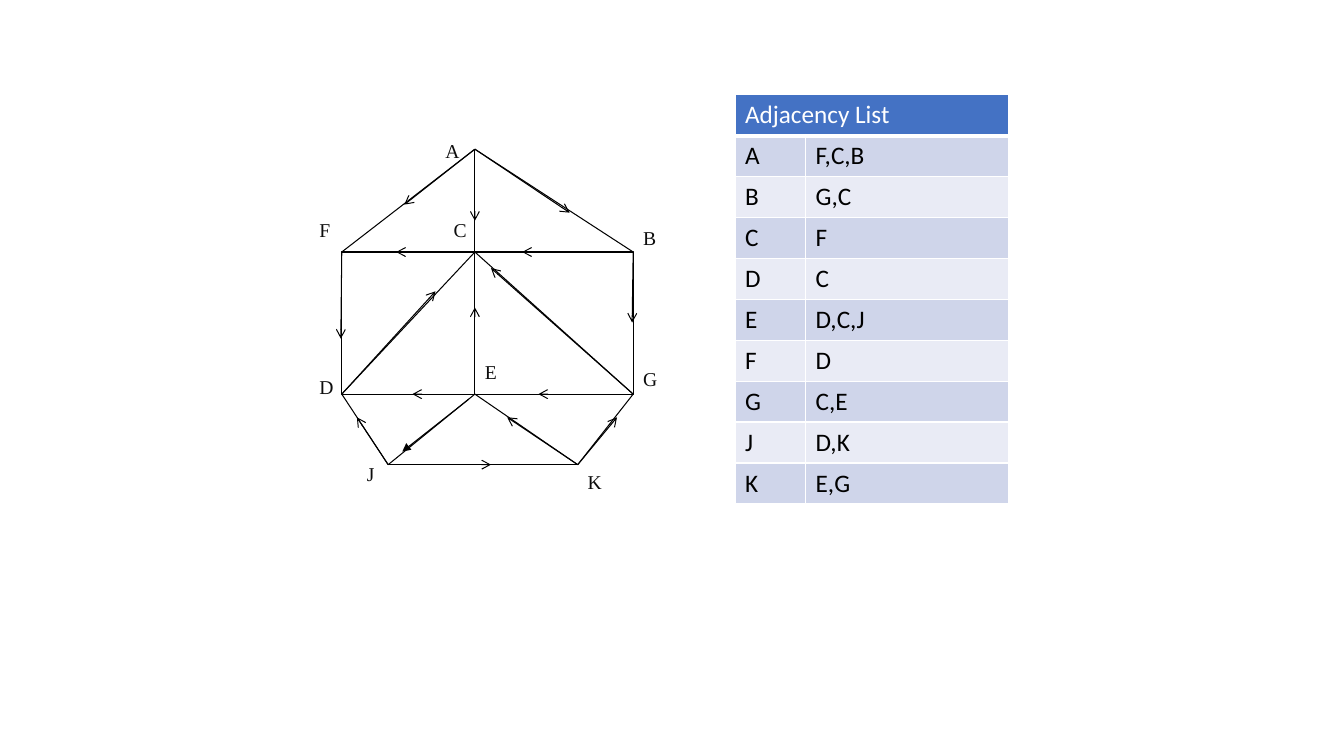
import pptx
import pptx.dml.color
import pptx.enum.shapes
import pptx.enum.text
import pptx.oxml
import pptx.oxml.ns
import pptx.util
from lxml import etree

Inches = pptx.util.Inches
COLORS = {
    "line": "000000", "label": "0D0D0D", "text": "000000",
    "header": "4472C4", "header_text": "FFFFFF", "border": "FFFFFF",
    "odd_row": "CFD5EA", "even_row": "E9EBF5",
}
NODES = {
    "A": (4.71, 1.48), "F": (3.39, 2.5), "C": (4.71, 2.5), "B": (6.28, 2.5),
    "D": (3.39, 3.91), "E": (4.71, 3.91), "G": (6.28, 3.91),
    "J": (3.85, 4.61), "K": (5.73, 4.61),
}
EDGES = ["FA", "AB", "DJ", "GK", "JK", "AE", "JE", "EK", "DC", "CG"]
ARROWS = [
    (NODES["A"], (4.01, 2.03)), (NODES["A"], (5.65, 2.11)),
    (NODES["A"], (4.71, 2.19)), ((4.83, 2.5), (3.93, 2.5)),
    (NODES["B"], (5.18, 2.5)), (NODES["E"], (4.71, 3.05)),
    (NODES["G"], (4.87, 2.66)), (NODES["D"], (4.32, 2.89)),
    (NODES["K"], (5.03, 4.14)), ((6.2, 3.91), (5.34, 3.91)),
    ((4.83, 3.91), (4.09, 3.91)), (NODES["F"], (3.38, 3.36)),
    (NODES["B"], (6.27, 3.2)), (NODES["J"], (3.54, 4.14)),
    (NODES["K"], (6.12, 4.14)), ((4.09, 4.61), (4.87, 4.61)),
]
LABELS = {
    "A": (4.32, 1.33), "F": (3.07, 2.11), "B": (6.28, 2.19),
    "G": (6.28, 3.59), "D": (3.07, 3.67), "J": (3.54, 4.53),
    "K": (5.73, 4.61), "E": (4.71, 3.52), "C": (4.4, 2.11),
}
ADJACENCY = {
    "A": "F,C,B", "B": "G,C", "C": "F", "D": "C", "E": "D,C,J",
    "F": "D", "G": "C,E", "J": "D,K", "K": "E,G",
}


def rgb(name):
    return pptx.dml.color.RGBColor.from_string(COLORS[name])


class GraphSlide:
    """Holds the line and text style and the slide being drawn."""

    line_width = pptx.util.Pt(0.75)

    def __init__(self, presentation):
        self.slide = presentation.slides.add_slide(presentation.slide_layouts[6])

    def style_line(self, line):
        line.color.rgb = rgb("line")
        line.width = self.line_width

    def style_text(self, paragraph, font, size, color):
        for run in paragraph.runs:
            run.font.name = font
            run.font.size = pptx.util.Pt(size)
            run.font.bold = False
            run.font.color.rgb = rgb(color)

    def frame(self, start, end):
        """Draw a hollow rectangle between two opposite corners."""
        shape = self.slide.shapes.add_shape(
            pptx.enum.shapes.MSO_SHAPE.RECTANGLE,
            Inches(start[0]), Inches(start[1]),
            Inches(end[0] - start[0]), Inches(end[1] - start[1]))
        shape.shadow.inherit = False
        shape.fill.background()
        self.style_line(shape.line)

    def line(self, start, end, arrowhead=None):
        connector = self.slide.shapes.add_connector(
            pptx.enum.shapes.MSO_CONNECTOR.STRAIGHT,
            *(Inches(value) for value in (*start, *end)))
        self.style_line(connector.line)
        properties = connector._element.spPr
        if arrowhead:
            outline = properties.find(pptx.oxml.ns.qn("a:ln"))
            etree.SubElement(outline, pptx.oxml.ns.qn("a:tailEnd"), type=arrowhead)
        etree.SubElement(properties, pptx.oxml.ns.qn("a:effectLst"))

    def label(self, text, position):
        box = self.slide.shapes.add_textbox(
            Inches(position[0]), Inches(position[1]), Inches(0.31), Inches(0.34))
        text_frame = box.text_frame
        text_frame.word_wrap = True
        text_frame.auto_size = pptx.enum.text.MSO_AUTO_SIZE.SHAPE_TO_FIT_TEXT
        text_frame.text = text
        self.style_text(text_frame.paragraphs[0], "Times New Roman", 14, "label")

    def cell_borders(self, cell, bottom):
        properties = cell._tc.get_or_add_tcPr()
        widths = {"lnL": 1, "lnR": 1, "lnT": 1, "lnB": bottom}
        for index, (side, width) in enumerate(widths.items()):
            border = pptx.oxml.parse_xml(
                f'<a:{side} {pptx.oxml.ns.nsdecls("a")} w="{pptx.util.Pt(width)}">'
                f'<a:solidFill><a:srgbClr val="{COLORS["border"]}"/></a:solidFill>'
                f'</a:{side}>')
            properties.insert(index, border)

    def table(self, heading, entries):
        rows = [(heading, ""), *entries.items()]
        table = self.slide.shapes.add_table(
            len(rows), 2, Inches(7.29), Inches(0.94),
            Inches(2.71), Inches(4.06)).table
        table.columns[0].width = Inches(0.7)
        table.columns[1].width = Inches(2.01)
        table.cell(0, 0).merge(table.cell(0, 1))
        for row_index, row in enumerate(rows):
            is_header = row_index == 0
            band = "odd_row" if row_index % 2 else "even_row"
            for column_index, text in enumerate(row):
                cell = table.cell(row_index, column_index)
                cell.fill.solid()
                cell.fill.fore_color.rgb = rgb("header" if is_header else band)
                self.cell_borders(cell, 3 if is_header else 1)
                if text:
                    cell.text_frame.text = text
                    self.style_text(cell.text_frame.paragraphs[0], "Calibri", 18,
                                    "header_text" if is_header else "text")


def main():
    presentation = pptx.Presentation()
    presentation.slide_width = Inches(13.33)
    presentation.slide_height = Inches(7.5)
    graph = GraphSlide(presentation)
    graph.frame(NODES["F"], NODES["G"])
    for start, end in EDGES:
        graph.line(NODES[start], NODES[end])
    for start, end in ARROWS:
        graph.line(start, end, "arrow")
    for name, position in LABELS.items():
        graph.label(name, position)
    graph.table("Adjacency List", ADJACENCY)
    graph.line((4.65, 3.96), (3.99, 4.48), "triangle")
    presentation.save("out.pptx")


if __name__ == "__main__":
    main()
